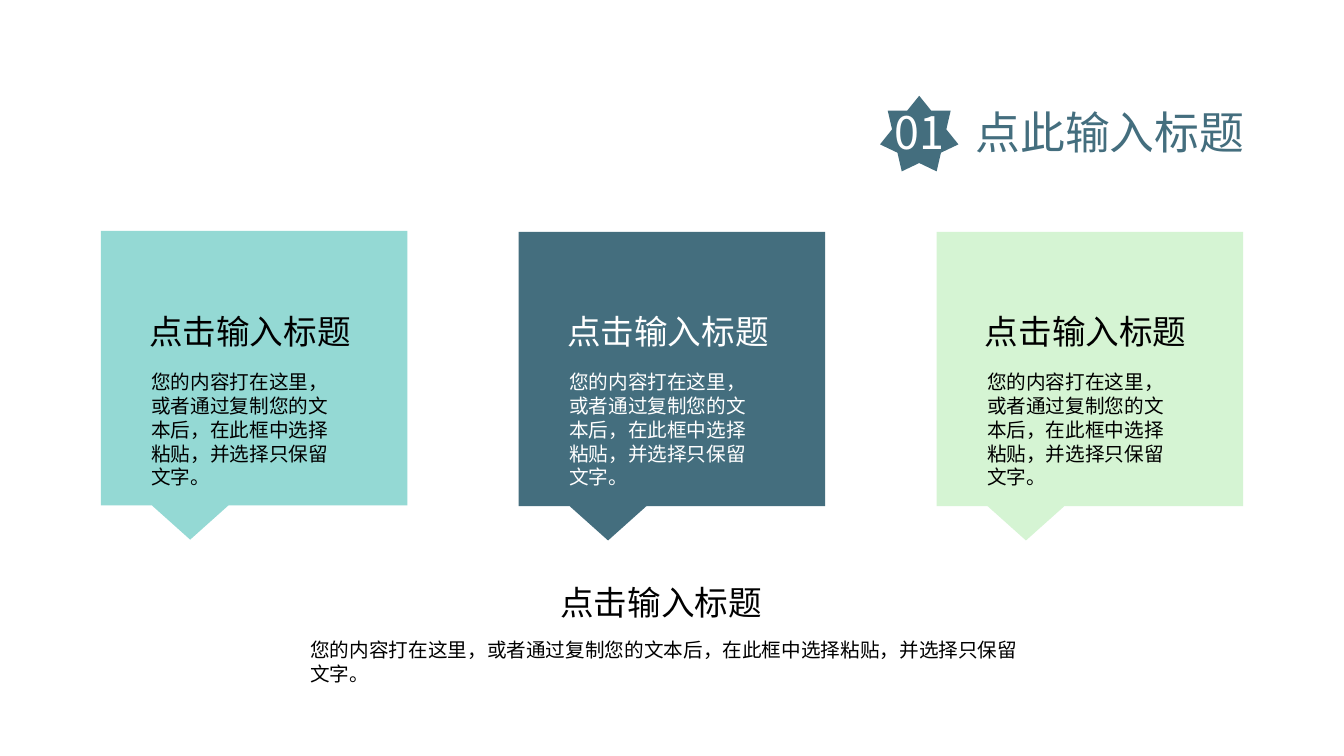
from pptx import Presentation
from pptx.dml.color import RGBColor
from pptx.enum.shapes import MSO_SHAPE
from pptx.oxml.ns import qn
from pptx.util import Pt
from lxml.etree import SubElement

FONT = "Noto Sans CJK SC"
TEAL, AQUA, MINT = "446E7E", "94D9D4", "D5F4D3"
BLACK, WHITE = "000000", "FFFFFF"
HEADING = "点击输入标题"
BODY = "您的内容打在这里，或者通过复制您的文本后，在此框中选择粘贴，并选择只保留文字。"

prs = Presentation()
prs.slide_width, prs.slide_height = Pt(960), Pt(540)
s = prs.slides.add_slide(prs.slide_layouts[6])


def add_filled(kind, x, y, w, h, color):
    sp = s.shapes.add_shape(kind, Pt(x), Pt(y), Pt(w), Pt(h))
    sp.shadow.inherit = False
    sp.fill.solid()
    sp.fill.fore_color.rgb = RGBColor.from_string(color)
    sp.line.fill.background()


def add_text(x, y, w, h, size, leading, runs):
    """Add a one-paragraph text box from (text, colour) runs and return the paragraph."""
    tf = s.shapes.add_textbox(Pt(x), Pt(y), Pt(w), Pt(h)).text_frame
    tf.word_wrap = True
    p = tf.paragraphs[0]
    p.line_spacing = Pt(leading)
    for text, color in runs:
        r = p.add_run()
        r.text = text
        r.font.size = Pt(size)
        r.font.name = FONT
        r.font.color.rgb = RGBColor.from_string(color)
        SubElement(r.font._element, qn("a:ea"), typeface=FONT)
    return p


# Section title: number on a star, then the title at a tab stop
add_filled(MSO_SHAPE.STAR_7_POINT, 628.6, 68.4, 56, 54, TEAL)
p = add_text(632.2, 70.8, 266, 46, 32, 39, [("01", WHITE), ("\t点此输入标题", TEAL)])
tabs = SubElement(p._p.get_or_add_pPr(), qn("a:tabLst"))
SubElement(tabs, qn("a:tab"), pos=str(Pt(57.5)), algn="l")

# Three callouts
cards = [(AQUA, BLACK, 165), (TEAL, WHITE, 165.6), (MINT, BLACK, 165.6)]
for i, (fill, ink, top) in enumerate(cards):
    x = 72 + 298.5 * i
    add_filled(MSO_SHAPE.RECTANGULAR_CALLOUT, x, top, 219, 196, fill)
    add_text(x + 29, 260.6, 149, 92, 14, 17, [(BODY, ink)])
    add_text(x + 27.5, 218.5, 164, 36, 24, 29, [(HEADING, ink)])

# Closing summary
add_text(214.6, 452.2, 531, 41, 14, 17, [(BODY, BLACK)])
add_text(393.1, 412.2, 164, 36, 24, 29, [(HEADING, BLACK)])

prs.save("out.pptx")
